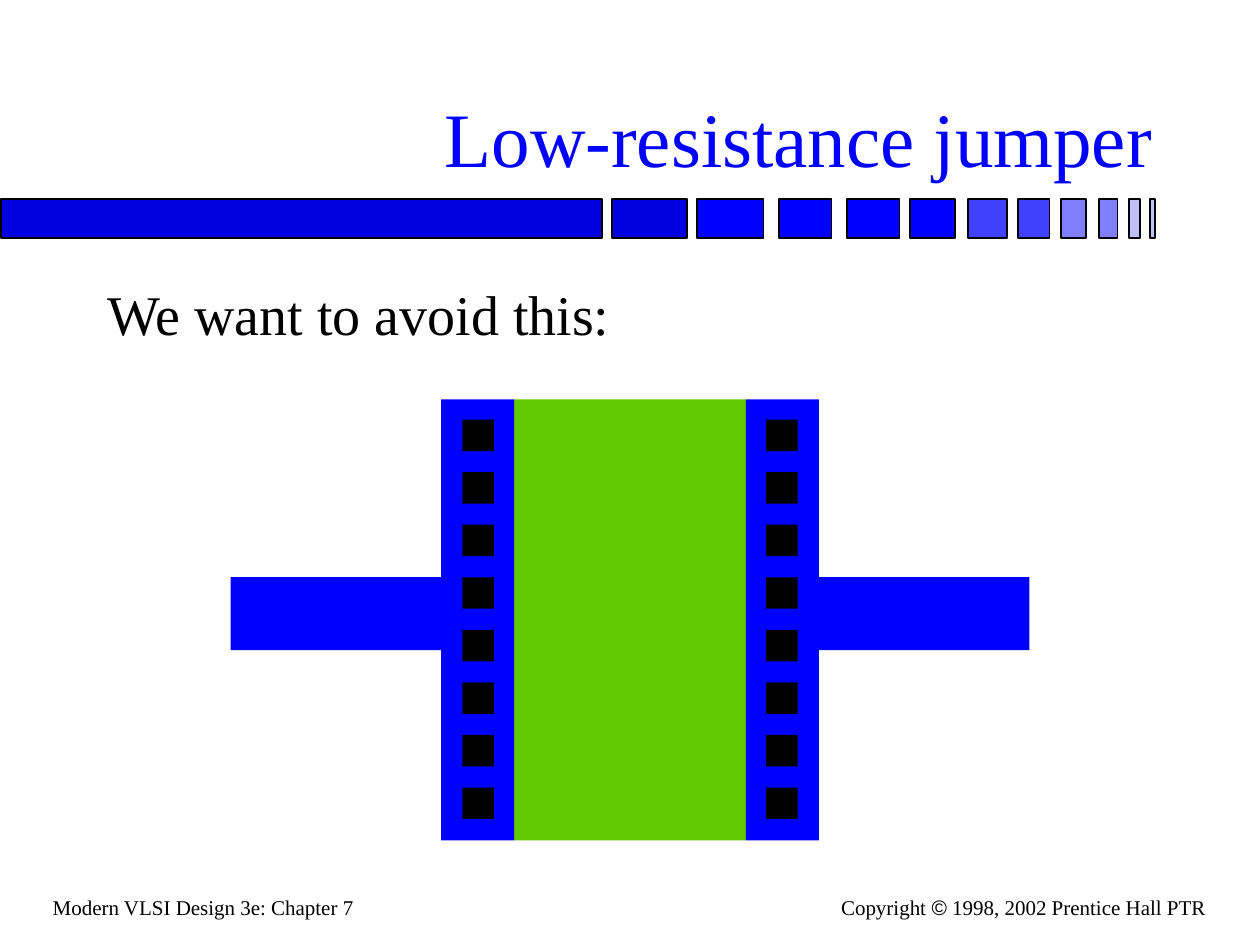
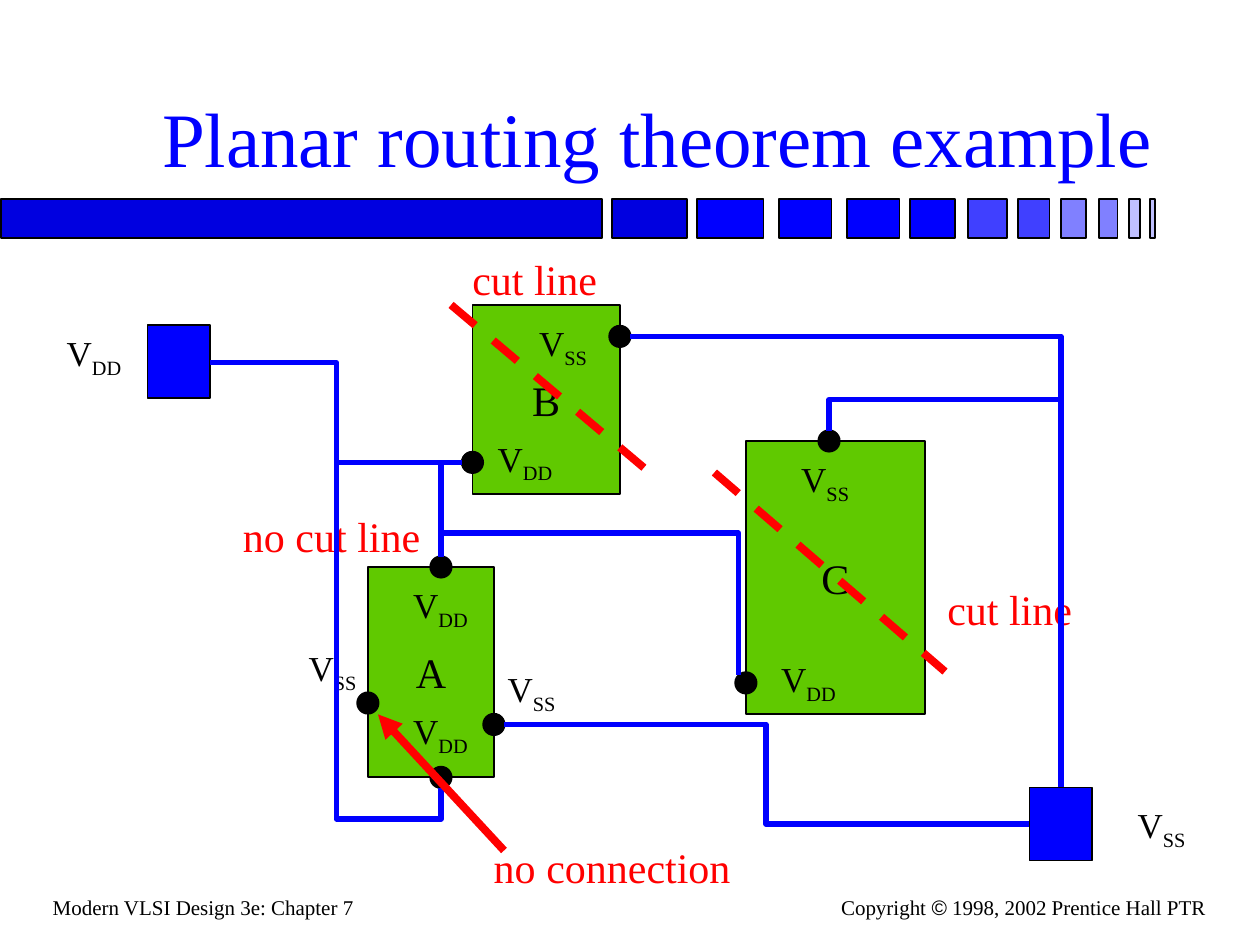
import dataclasses

import lxml.etree
import pptx
import pptx.dml.color
import pptx.enum.dml
import pptx.enum.shapes
import pptx.enum.text
import pptx.oxml.ns
import pptx.util

Inches = pptx.util.Inches
Pt = pptx.util.Pt
qn = pptx.oxml.ns.qn
ALIGN = pptx.enum.text.PP_ALIGN
ANCHOR = pptx.enum.text.MSO_ANCHOR
SHAPE = pptx.enum.shapes.MSO_SHAPE
CONNECTOR = pptx.enum.shapes.MSO_CONNECTOR


@dataclasses.dataclass(frozen=True)
class Theme:
    font: str = "Times New Roman"
    symbol_font: str = "Arial"
    black: str = "000000"
    metal: str = "0000FF"
    block: str = "60C900"
    note: str = "FF0000"
    title_size: int = 44
    body_size: int = 32
    label_size: int = 24
    pin_size: int = 20
    footer_size: int = 12
    outline: float = 1
    wire: float = 3
    mark: float = 4.5


THEME = Theme()

SLIDE_SIZE = (10, 7.5)
TITLE_AREA = (0.75, 0.21, 8.5, 1.29)
BODY_AREA = (0.75, 2.17, 8.5, 4.5)
BODY_INDENT = 0.38

BAND_TOP, BAND_HEIGHT = 1.58, 0.31
BAND = [
    ("0000E0", [(0.01, 4.77), (4.86, 0.59)]),
    ("0000FF", [(5.53, 0.53), (6.18, 0.42), (6.72, 0.42), (7.22, 0.36)]),
    ("4040FF", [(7.68, 0.31), (8.08, 0.25)]),
    ("8080FF", [(8.42, 0.2), (8.72, 0.15)]),
    ("C0C0FF", [(8.96, 0.09), (9.13, 0.04)]),
]
FOOTERS = [
    ((0.32, 7.05, 2.59, 0.3), ALIGN.LEFT, [("Modern VLSI Design 3e: Chapter 7", THEME.font)]),
    ((6.57, 7.05, 3.1, 0.3), ALIGN.RIGHT, [
        ("Copyright ", THEME.font),
        ("©", THEME.symbol_font),
        (" 1998, 2002 Prentice Hall PTR", THEME.font),
    ]),
]

JUMPER_TITLE = "Low-resistance jumper"
JUMPER_BODY = "We want to avoid this:"
JUMPER_METAL = (4.08, 3.17, 1.84, 3.5)
CONTACT_STRIP = (3.5, 3.17, 0.58, 3.5)
LEAD = (1.83, 4.58, 1.67, 0.58)
VIA_LEFT, VIA_SIZE, VIA_COUNT = 3.67, 0.25, 8
FIRST_VIA_TOP, LAST_VIA_TOP = 3.33, 6.25

ROUTING_TITLE = "Planar routing theorem example"
BLOCKS = [
    ("A", (2.92, 4.5, 1, 1.67)),
    ("B", (3.75, 2.42, 1.17, 1.5)),
    ("C", (5.92, 3.5, 1.42, 2.17)),
]
PADS = [(1.17, 2.58), (8.17, 6.25)]
PAD_SIZE = (0.5, 0.58)
PIN_DIAMETER = 0.17
PIN_CENTERS = [
    (2.92, 5.58), (3.92, 5.75), (3.5, 6.17), (3.5, 4.5),
    (3.75, 3.67), (4.92, 2.67), (5.92, 5.42), (6.58, 3.5),
]
PIN_LABELS = {
    "DD": [(0.43, 2.58), (3.85, 3.42), (6.1, 5.17), (3.18, 4.58), (3.18, 5.58)],
    "SS": [(8.93, 6.33), (6.26, 3.58), (4.18, 2.5), (2.35, 5.08), (3.93, 5.25)],
}
PIN_LABEL_SIZE = {"DD": (0.65, 0.48), "SS": (0.59, 0.48)}
CUT_LINES = [((3.58, 2.42), (5.25, 3.83)), ((5.67, 3.75), (7.5, 5.33))]
CUT_NOTES = [
    ("cut line", (3.65, 1.96, 1.2, 0.5)),
    ("cut line", (7.42, 4.58, 1.2, 0.5)),
    ("no cut line", (1.83, 4, 1.62, 0.5)),
]
WIRES = [
    [(1.67, 2.88), (2.67, 2.88), (2.67, 3.67), (3.67, 3.67)],
    [(2.67, 3.67), (2.67, 6.5), (3.5, 6.5), (3.5, 6.25)],
    [(3.5, 4.42), (3.5, 3.67), (3.67, 3.67)],
    [(3.5, 4.42), (3.5, 4.23), (5.86, 4.23), (5.86, 5.36)],
    [(8.17, 6.54), (6.08, 6.54), (6.08, 5.75), (4, 5.75)],
    [(8.42, 6.25), (8.42, 3.17), (6.58, 3.17), (6.58, 3.42)],
    [(8.42, 6.25), (8.42, 2.67), (5, 2.67)],
]
MISSING_NOTE = ("no connection", (3.82, 6.63, 2.09, 0.5))
MISSING_ARROW = ((4, 6.75), (3, 5.67))


def color(value):
    return pptx.dml.color.RGBColor.from_string(value)


def lengths(values):
    return [Inches(value) for value in values]


def add_span(para, text, size, tint=THEME.black, font=THEME.font):
    span = para.add_run()
    span.text = text
    span.font.name = font
    span.font.size = Pt(size)
    span.font.color.rgb = color(tint)
    return span


def add_block(page, area, fill, outlined=False, kind=SHAPE.RECTANGLE):
    shape = page.shapes.add_shape(kind, *lengths(area))
    shape.shadow.inherit = False
    shape.fill.solid()
    shape.fill.fore_color.rgb = color(fill)
    if outlined:
        shape.line.color.rgb = color(THEME.black)
        shape.line.width = Pt(THEME.outline)
    else:
        shape.line.fill.background()
    return shape


def add_label(page, area, align=ALIGN.LEFT):
    box = page.shapes.add_textbox(*lengths(area))
    box.text_frame.word_wrap = False
    box.text_frame.auto_size = pptx.enum.text.MSO_AUTO_SIZE.SHAPE_TO_FIT_TEXT
    para = box.text_frame.paragraphs[0]
    para.alignment = align
    return para


def add_note(page, text, area):
    add_span(add_label(page, area), text, THEME.label_size, THEME.note)


def add_line(page, start, end, tint, width, kind=CONNECTOR.STRAIGHT):
    line = page.shapes.add_connector(kind, *lengths(start + end))
    line.line.color.rgb = color(tint)
    line.line.width = Pt(width)
    lxml.etree.SubElement(line._element.spPr, qn("a:effectLst"))
    return line


def add_wire(page, points):
    start, bend, end = points[0], points[1], points[-1]
    across, down = end[0] - start[0], end[1] - start[1]
    upright = bend[0] == start[0]
    run, rise = (-down, across) if upright else (across, down)
    middle = (start[0] + across / 2, start[1] + down / 2)
    wire = add_line(
        page,
        (middle[0] - run / 2, middle[1] - rise / 2),
        (middle[0] + run / 2, middle[1] + rise / 2),
        THEME.metal, THEME.wire, CONNECTOR.ELBOW,
    )
    properties = wire._element.spPr
    if upright:
        properties.find(qn("a:xfrm")).set("rot", str(270 * 60000))
    geometry = properties.find(qn("a:prstGeom"))
    if len(points) == 3:
        geometry.set("prst", "bentConnector2")
        return
    axis = 1 if upright else 0
    share = (bend[axis] - start[axis]) / (end[axis] - start[axis])
    guide = lxml.etree.SubElement(geometry.find(qn("a:avLst")), qn("a:gd"))
    guide.set("name", "adj1")
    guide.set("fmla", f"val {round(share * 100000)}")


def fill_placeholder(holder, area, text, size, tint, align, anchor):
    holder.left, holder.top, holder.width, holder.height = lengths(area)
    frame = holder.text_frame
    frame.auto_size = pptx.enum.text.MSO_AUTO_SIZE.NONE
    frame.vertical_anchor = anchor
    para = frame.paragraphs[0]
    para.alignment = align
    para.space_before = Pt(0)
    add_span(para, text, size, tint)
    return para


def add_page(deck, layout, title):
    page = deck.slides.add_slide(deck.slide_layouts.get_by_name(layout))
    for fill, bars in BAND:
        for left, width in bars:
            add_block(page, (left, BAND_TOP, width, BAND_HEIGHT), fill, outlined=True)
    for area, align, parts in FOOTERS:
        para = add_label(page, area, align)
        for text, font in parts:
            add_span(para, text, THEME.footer_size, font=font)
    fill_placeholder(page.shapes.title, TITLE_AREA, title, THEME.title_size,
                     THEME.metal, ALIGN.RIGHT, ANCHOR.BOTTOM)
    return page


def mirrored(area):
    left, top, width, height = area
    return (SLIDE_SIZE[0] - left - width, top, width, height)


def build_jumper(deck):
    page = add_page(deck, "Title and Content", JUMPER_TITLE)
    para = fill_placeholder(page.placeholders[1], BODY_AREA, JUMPER_BODY, THEME.body_size,
                            THEME.black, ALIGN.LEFT, ANCHOR.TOP)
    properties = para._p.get_or_add_pPr()
    properties.set("marL", str(Inches(BODY_INDENT)))
    properties.set("indent", str(-Inches(BODY_INDENT)))
    lxml.etree.SubElement(properties, qn("a:buNone"))

    add_block(page, JUMPER_METAL, THEME.block)
    pitch = (LAST_VIA_TOP - FIRST_VIA_TOP) / (VIA_COUNT - 1)
    vias = [(VIA_LEFT, FIRST_VIA_TOP + row * pitch, VIA_SIZE, VIA_SIZE)
            for row in range(VIA_COUNT)]
    for place in (tuple, mirrored):
        for area in (CONTACT_STRIP, LEAD):
            add_block(page, place(area), THEME.metal)
        for area in vias:
            add_block(page, place(area), THEME.black)


def build_routing(deck):
    page = add_page(deck, "Title Only", ROUTING_TITLE)
    for name, area in BLOCKS:
        frame = add_block(page, area, THEME.block, outlined=True).text_frame
        frame.word_wrap = False
        frame.vertical_anchor = ANCHOR.MIDDLE
        frame.paragraphs[0].alignment = ALIGN.CENTER
        add_span(frame.paragraphs[0], name, THEME.label_size)
    for corner in PADS:
        add_block(page, corner + PAD_SIZE, THEME.metal, outlined=True)
    for x, y in PIN_CENTERS:
        area = (x - PIN_DIAMETER / 2, y - PIN_DIAMETER / 2, PIN_DIAMETER, PIN_DIAMETER)
        add_block(page, area, THEME.black, outlined=True, kind=SHAPE.OVAL)
    for supply, corners in PIN_LABELS.items():
        for corner in corners:
            para = add_label(page, corner + PIN_LABEL_SIZE[supply])
            add_span(para, "V", THEME.pin_size)
            subscript = add_span(para, supply, THEME.pin_size)
            subscript._r.get_or_add_rPr().set("baseline", "-25000")
    for start, end in CUT_LINES:
        cut = add_line(page, start, end, THEME.note, THEME.mark)
        cut.line.dash_style = pptx.enum.dml.MSO_LINE.DASH
    for text, area in CUT_NOTES:
        add_note(page, text, area)
    for points in WIRES:
        add_wire(page, points)
    add_note(page, *MISSING_NOTE)
    arrow = add_line(page, *MISSING_ARROW, THEME.note, THEME.mark)
    outline = arrow.line._get_or_add_ln()
    lxml.etree.SubElement(outline, qn("a:tailEnd")).set("type", "triangle")


def main():
    deck = pptx.Presentation()
    deck.slide_width, deck.slide_height = lengths(SLIDE_SIZE)
    build_jumper(deck)
    build_routing(deck)
    deck.save("out.pptx")


if __name__ == "__main__":
    main()
